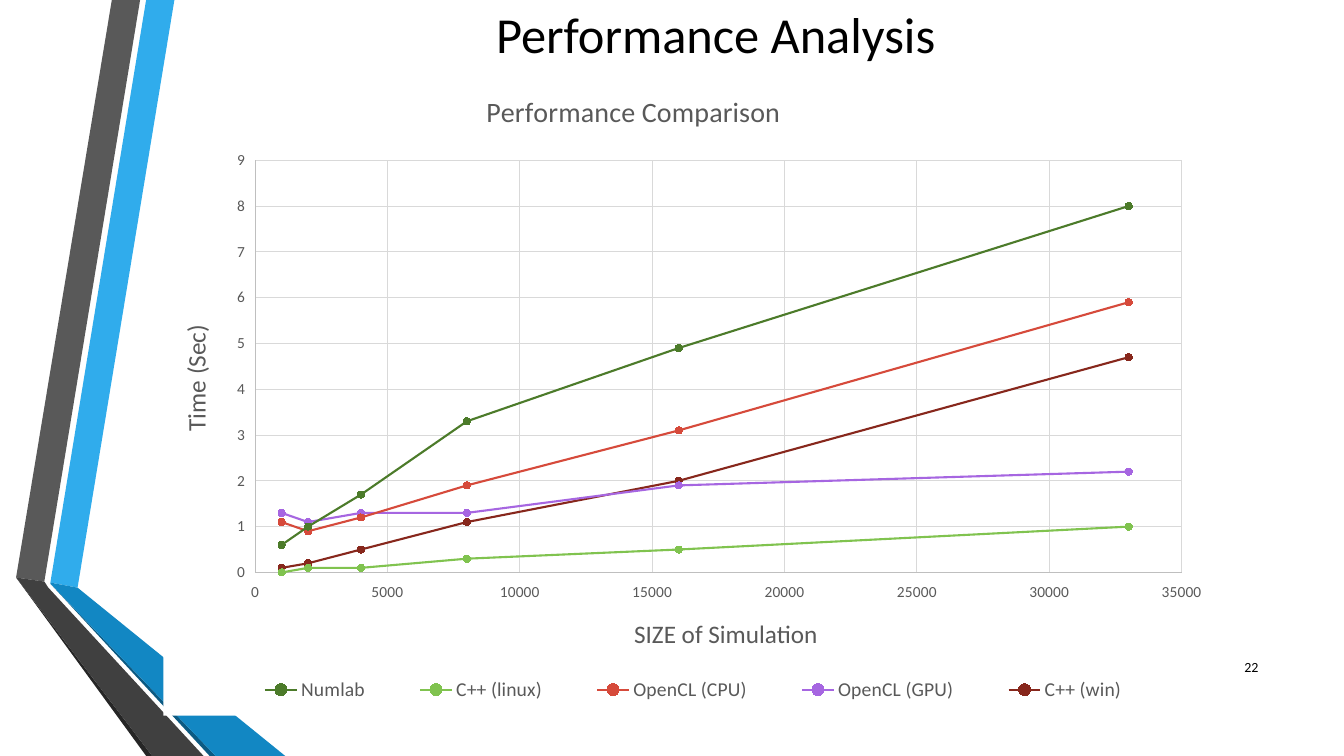
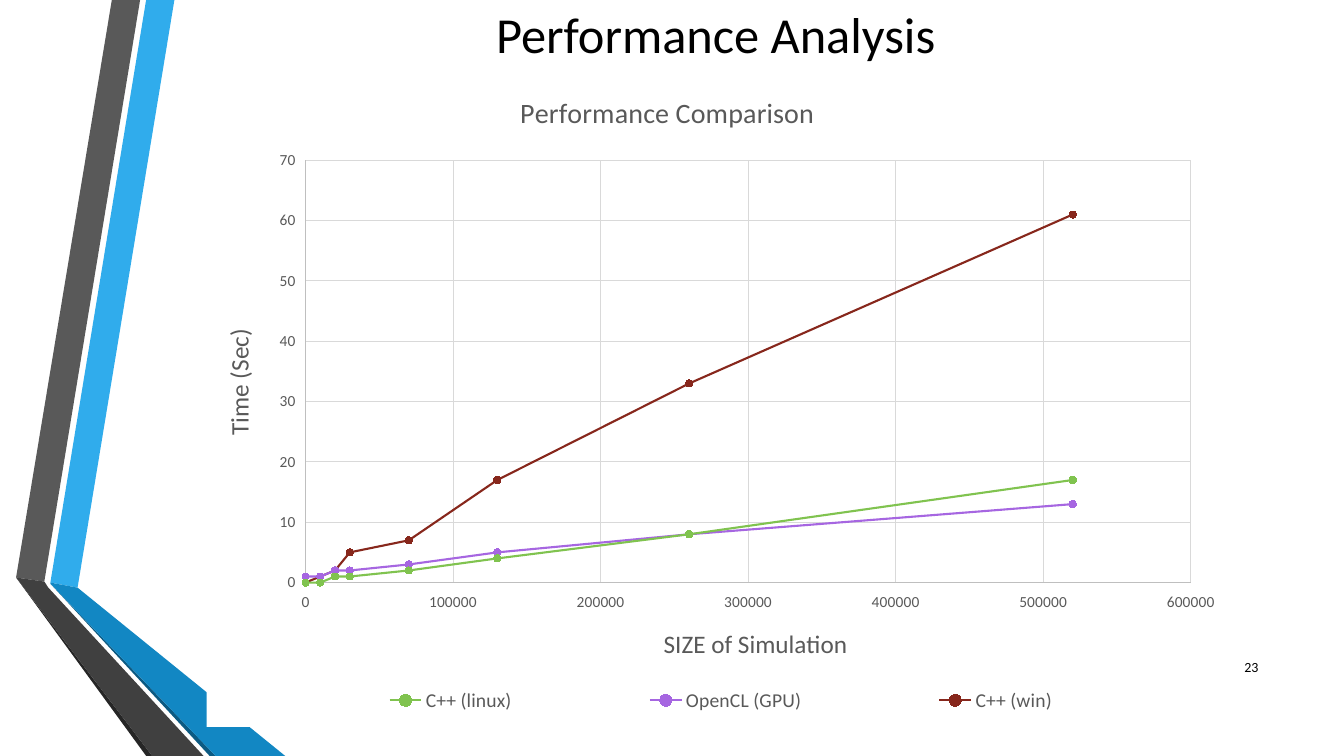
from lxml import etree
from pptx import Presentation
from pptx.chart.data import XyChartData
from pptx.dml.color import RGBColor
from pptx.enum.chart import (XL_CHART_TYPE as ChartType, XL_LEGEND_POSITION as LegendPosition,
                             XL_MARKER_STYLE as MarkerStyle, XL_TICK_LABEL_POSITION as LabelPosition,
                             XL_TICK_MARK as TickMark)
from pptx.enum.text import MSO_ANCHOR as Anchor, PP_ALIGN as Align
from pptx.oxml import parse_xml
from pptx.oxml.ns import nsdecls, qn
from pptx.util import Inches, Pt

BLACK = RGBColor(0x00, 0x00, 0x00)
GRAY = RGBColor(0x59, 0x59, 0x59)
AXIS_GRAY = RGBColor(0xBF, 0xBF, 0xBF)
GRID_GRAY = RGBColor(0xD9, 0xD9, 0xD9)
DARK_GRAY = RGBColor(0x40, 0x40, 0x40)
SHADOW_GRAY = RGBColor(0x26, 0x26, 0x26)
SKY_BLUE = RGBColor(0x30, 0xAC, 0xEC)
BLUE = RGBColor(0x12, 0x87, 0xC3)
DEEP_BLUE = RGBColor(0x0C, 0x5A, 0x82)

FONT = "Calibri"
SERIES_COLORS = {
    "Numlab": RGBColor(0x4C, 0x7B, 0x2A),
    "C++ (linux)": RGBColor(0x80, 0xC3, 0x4F),
    "OpenCL (CPU)": RGBColor(0xD6, 0x4A, 0x3B),
    "OpenCL (GPU)": RGBColor(0xA6, 0x66, 0xE1),
    "C++ (win)": RGBColor(0x87, 0x27, 0x1C),
}
RIBBONS = [
    (SKY_BLUE, [(0.5, 5.78), (0.77, 5.83), (1.73, 0), (1.45, 0)]),
    (GRAY, [(1.39, 0), (1.11, 0), (0.16, 5.73), (0.44, 5.77)]),
    (SHADOW_GRAY, [(0.16, 5.73), (1.45, 7.5), (1.51, 7.5)]),
    (DEEP_BLUE, [(0.5, 5.79), (2.08, 7.5), (2.14, 7.5)]),
    (BLUE, [(0.5, 5.79), (2.14, 7.5), (2.83, 7.5), (0.77, 5.83), (0.5, 5.78)]),
    (DARK_GRAY, [(2.02, 7.5), (0.48, 5.83), (0.44, 5.77), (0.16, 5.73), (1.51, 7.5)]),
]

# Fractions of the chart area
CHART_TITLE_SPOT = (0.3, 0.03)
SIZE_TITLE_SPOT = (0.44, 0.84)
TIME_TITLE_SPOT = (0.01, 0.39)
LEGEND_BOX = (0.05, 0.93, 0.9, 0.06)

CHARTS = [
    {
        "number": 22,
        "box": (1.62, 0.67, 10.51, 6.43),
        "plot": (2.53, 1.59, 9.19, 4.09),
        "size_scale": (35000, 5000),
        "time_scale": (9, 1),
        "sizes": [1000, 2000, 4000, 8000, 16000, 33000],
        "times": {
            "Numlab": [0.6, 1, 1.7, 3.3, 4.9, 8],
            "C++ (linux)": [0, 0.1, 0.1, 0.3, 0.5, 1],
            "OpenCL (CPU)": [1.1, 0.9, 1.2, 1.9, 3.1, 5.9],
            "OpenCL (GPU)": [1.3, 1.1, 1.3, 1.3, 1.9, 2.2],
            "C++ (win)": [0.1, 0.2, 0.5, 1.1, 2, 4.7],
        },
    },
    {
        "number": 23,
        "box": (2.05, 0.67, 10.2, 6.54),
        "plot": (3.03, 1.59, 8.78, 4.19),
        "size_scale": (600000, 100000),
        "time_scale": (70, 10),
        "sizes": [0, 0, 0, 10000, 20000, 30000, 70000, 130000, 260000, 520000],
        "times": {
            "C++ (linux)": [0, 0, 0, 0, 1, 1, 2, 4, 8, 17],
            "OpenCL (GPU)": [1, 1, 1, 1, 2, 2, 3, 5, 8, 13],
            "C++ (win)": [0, 0, 0, 1, 2, 5, 7, 17, 33, 61],
        },
    },
]


def set_font(font, size, color):
    font.name = FONT
    font.size = Pt(size)
    font.color.rgb = color


def set_line(line, color, width):
    line.color.rgb = color
    line.width = Pt(width)


def set_layout(element, box, inner=False):
    """Place a chart part at fractions (x, y[, w, h]) of the chart area."""
    for layout in element.findall(qn("c:layout")):
        element.remove(layout)
    layout = etree.Element(qn("c:layout"))
    manual = etree.SubElement(layout, qn("c:manualLayout"))
    settings = [("layoutTarget", "inner")] if inner else []
    settings += [("xMode", "edge"), ("yMode", "edge")]
    settings += [(name, f"{value:.4f}") for name, value in zip("xywh", box)]
    for name, value in settings:
        etree.SubElement(manual, qn(f"c:{name}")).set("val", value)
    element.insert(0 if inner else 1, layout)


class Deck:
    def __init__(self):
        self.presentation = Presentation()
        self.presentation.slide_width = Inches(13.33)
        self.presentation.slide_height = Inches(7.5)
        self.slide = None

    def add_slide(self, title, number):
        self.slide = self.presentation.slides.add_slide(self.presentation.slide_layouts[6])
        for color, points in RIBBONS:
            self.add_ribbon(color, points)
        self.add_text(title, (1.62, 0, 10.96, 0.67), 36, Align.CENTER)
        self.add_text(str(number), (11.98, 6.42, 0.6, 0.4), 10, Align.RIGHT)

    def add_ribbon(self, color, points):
        start, *others = [(Inches(x), Inches(y)) for x, y in points]
        builder = self.slide.shapes.build_freeform(*start)
        builder.add_line_segments(others, close=True)
        shape = builder.convert_to_shape()
        shape.shadow.inherit = False
        shape.fill.solid()
        shape.fill.fore_color.rgb = color
        shape.line.fill.background()

    def add_text(self, text, box, size, alignment):
        text_frame = self.slide.shapes.add_textbox(*map(Inches, box)).text_frame
        text_frame.word_wrap = True
        text_frame.vertical_anchor = Anchor.MIDDLE
        text_frame.text = text
        paragraph = text_frame.paragraphs[0]
        paragraph.alignment = alignment
        set_font(paragraph.runs[0].font, size, BLACK)

    def add_chart(self, box, plot, sizes, times, size_scale, time_scale):
        data = XyChartData()
        for name, values in times.items():
            series = data.add_series(name)
            for size, value in zip(sizes, values):
                series.add_data_point(size, value)
        chart = self.slide.shapes.add_chart(
            ChartType.XY_SCATTER_LINES, *map(Inches, box), data).chart
        set_font(chart.font, 10, BLACK)
        chart.element.find(qn("c:chart")).addnext(parse_xml(
            f'<c:spPr {nsdecls("c", "a")}><a:solidFill><a:srgbClr val="FFFFFF"/></a:solidFill>'
            '<a:ln><a:noFill/></a:ln></c:spPr>'))

        chart.has_title = True
        self.style_title(chart.chart_title, "Performance Comparison", 20, CHART_TITLE_SPOT)
        self.style_axis(chart.category_axis, "SIZE of Simulation", SIZE_TITLE_SPOT, size_scale)
        self.style_axis(chart.value_axis, "Time (Sec)", TIME_TITLE_SPOT, time_scale, rotation=-90)
        self.style_series(chart.plots[0])

        chart.has_legend = True
        chart.legend.position = LegendPosition.BOTTOM
        chart.legend.include_in_layout = False
        set_font(chart.legend.font, 14, GRAY)
        set_layout(chart.element.xpath("c:chart/c:legend")[0], LEGEND_BOX)

        left, top, width, height = box
        plot_left, plot_top, plot_width, plot_height = plot
        set_layout(chart.element.xpath("c:chart/c:plotArea")[0],
                   ((plot_left - left) / width, (plot_top - top) / height,
                    plot_width / width, plot_height / height), inner=True)

    def style_title(self, title, text, size, spot, rotation=0):
        title.text_frame.text = text
        font = title.text_frame.paragraphs[0].runs[0].font
        set_font(font, size, GRAY)
        font.bold = False
        title.element.xpath("c:tx/c:rich/a:bodyPr")[0].set("rot", str(rotation * 60000))
        set_layout(title.element, spot)

    def style_axis(self, axis, text, spot, scale, rotation=0):
        axis.minimum_scale = 0
        axis.maximum_scale, axis.major_unit = scale
        axis.major_tick_mark = axis.minor_tick_mark = TickMark.NONE
        axis.tick_label_position = LabelPosition.LOW
        axis.tick_labels.number_format = "General"
        axis.tick_labels.number_format_is_linked = False
        set_font(axis.tick_labels.font, 11, GRAY)
        set_line(axis.format.line, AXIS_GRAY, 0.75)
        axis.has_major_gridlines = True
        set_line(axis.major_gridlines.format.line, GRID_GRAY, 0.75)
        axis.has_title = True
        self.style_title(axis.axis_title, text, 18, spot, rotation)

    def style_series(self, plot):
        plot.vary_by_categories = False
        for series in plot.series:
            color = SERIES_COLORS[series.name]
            set_line(series.format.line, color, 1.5)
            marker = series.marker
            marker.style = MarkerStyle.CIRCLE
            marker.size = 5
            marker.format.fill.solid()
            marker.format.fill.fore_color.rgb = color
            set_line(marker.format.line, color, 0.75)


def main():
    deck = Deck()
    for chart in CHARTS:
        deck.add_slide("Performance Analysis", chart["number"])
        deck.add_chart(chart["box"], chart["plot"], chart["sizes"], chart["times"],
                       chart["size_scale"], chart["time_scale"])
    deck.presentation.save("out.pptx")


if __name__ == "__main__":
    main()
